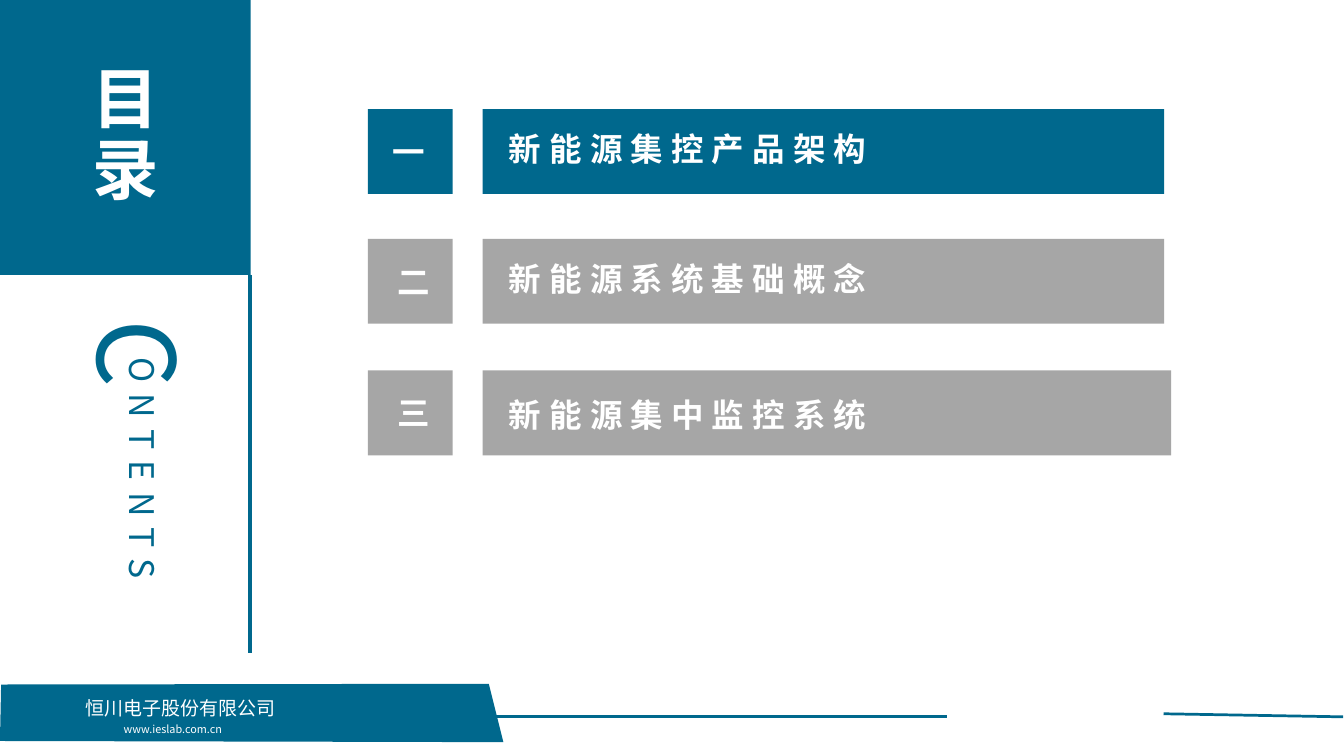
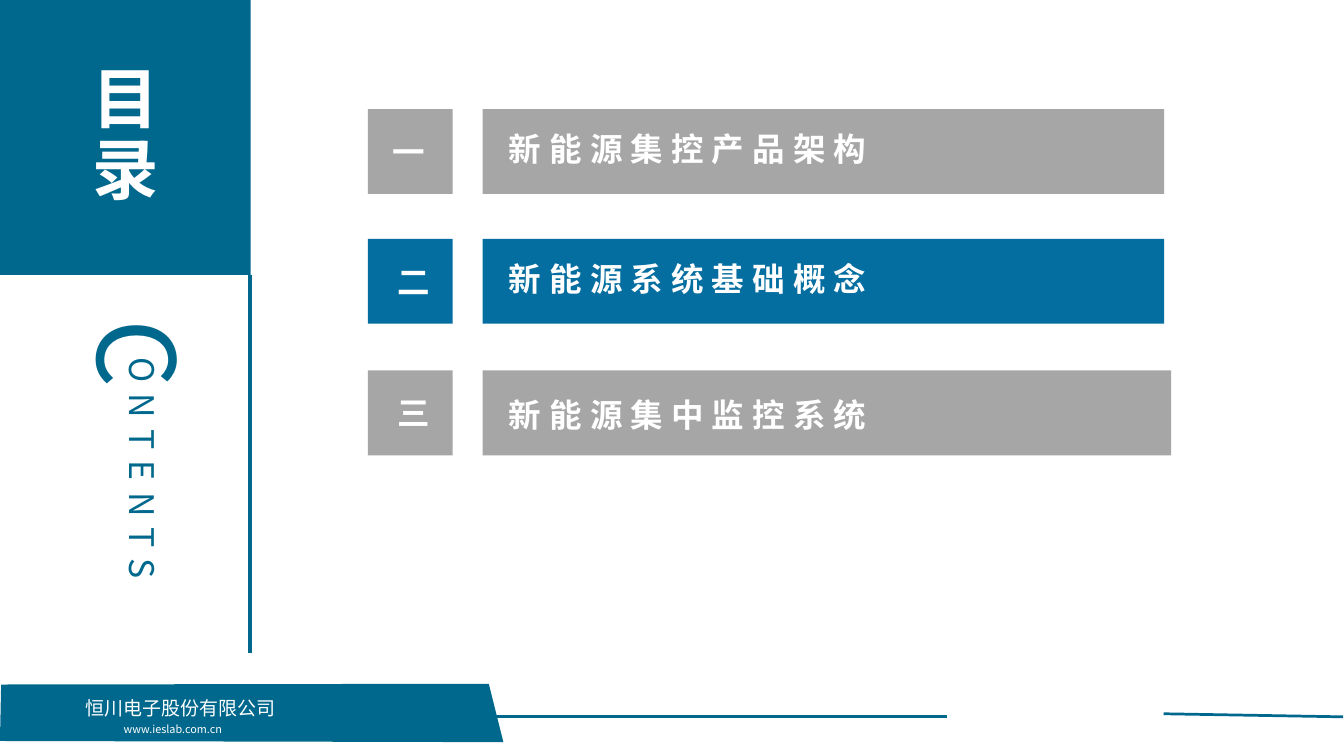
from pptx import Presentation
from pptx import util as u
from pptx.dml.color import RGBColor
from pptx.enum import shapes, text
from pptx.oxml.ns import qn
from lxml import etree

TEAL = RGBColor(0x00, 0x68, 0x8D)
BLUE = RGBColor(0x05, 0x6E, 0xA0)
GREY = RGBColor(0xA6, 0xA6, 0xA6)
WHITE = RGBColor(0xFF, 0xFF, 0xFF)
FONT = "Noto Sans CJK SC"
TOP, MIDDLE = text.MSO_ANCHOR.TOP, text.MSO_ANCHOR.MIDDLE
LEFT, CENTER = text.PP_ALIGN.LEFT, text.PP_ALIGN.CENTER
NARROW = (0.25, 0.13, 0.25, 0.13)
WIDE = (0.3, 0.15, 0.3, 0.15)

BADGE_X, BAR_X, LABEL_X = 9.58, 12.57, 12.95
ROW_H = 2.21
ROWS = [
    ("一", "新能源集控产品架构", 2.84, 17.75, 0.38, (0.18, 0.13, 0.25, 0.13)),
    ("二", "新能源系统基础概念", 6.22, 17.75, 0.38, (0.48, 0.15, 0.3, 0.15)),
    ("三", "新能源集中监控系统", 9.65, 17.93, 0.48, (0.48, 0.15, 0.3, 0.15)),
]


class Deck:
    def __init__(self):
        self.prs = Presentation()
        self.prs.slide_width, self.prs.slide_height = u.Cm(35), u.Cm(19.69)
        self.s = None

    def new_slide(self):
        self.s = self.prs.slides.add_slide(self.prs.slide_layouts[6])

    def fill(self, sp, color):
        sp.shadow.inherit = False
        sp.fill.solid()
        sp.fill.fore_color.rgb = color
        sp.line.fill.background()

    def rect(self, x, y, w, h, color):
        sp = self.s.shapes.add_shape(
            shapes.MSO_SHAPE.RECTANGLE, u.Cm(x), u.Cm(y), u.Cm(w), u.Cm(h))
        self.fill(sp, color)
        return sp

    def outline(self, points, color):
        points = [(u.Cm(x), u.Cm(y)) for x, y in points]
        fb = self.s.shapes.build_freeform(*points[0])
        fb.add_line_segments(points[1:])
        self.fill(fb.convert_to_shape(), color)

    def line(self, x1, y1, x2, y2, width):
        c = self.s.shapes.add_connector(
            shapes.MSO_CONNECTOR.STRAIGHT, u.Cm(x1), u.Cm(y1), u.Cm(x2), u.Cm(y2))
        c.line.color.rgb = TEAL
        c.line.width = u.Pt(width)
        etree.SubElement(c.element.spPr, qn("a:effectLst"))

    def set_text(self, sp, lines, size, color=WHITE, bold=False, align=LEFT,
                 anchor=TOP, insets=NARROW, spacing=0, line_spacing=None, vertical=False):
        tf = sp.text_frame
        tf.word_wrap = True
        tf.vertical_anchor = anchor
        tf.margin_left, tf.margin_top, tf.margin_right, tf.margin_bottom = map(u.Cm, insets)
        if vertical:
            sp.element.txBody.find(qn("a:bodyPr")).set("vert", "eaVert")
        p = tf.paragraphs[0]
        p.alignment = align
        if line_spacing:
            p.line_spacing = line_spacing
        for i, line in enumerate(lines):
            if i:
                p.add_line_break()
            r = p.add_run()
            r.text = line
            r.font.name = FONT
            r.font.size = u.Pt(size)
            r.font.bold = bold
            r.font.color.rgb = color
            rPr = r._r.get_or_add_rPr()
            etree.SubElement(rPr, qn("a:ea"), typeface=FONT)
            if spacing:
                rPr.set("spc", str(round(spacing * 100)))

    def textbox(self, x, y, w, h, line, size, **style):
        sp = self.s.shapes.add_textbox(u.Cm(x), u.Cm(y), u.Cm(w), u.Cm(h))
        self.set_text(sp, [line], size, **style)

    def footer(self):
        self.line(12.22, 18.67, 24.66, 18.67, 2)
        self.line(30.3, 18.59, 34.98, 18.67, 2)
        self.outline([(0, 19.3), (0.03, 17.83), (12.73, 17.81), (13.11, 19.33)], TEAL)
        self.textbox(2.97, 18.69, 8.64, 0.58, "www.ieslab.com.cn", 8)
        self.textbox(1.98, 18.01, 8.79, 0.86, "恒川电子股份有限公司", 14)

    def sidebar(self):
        sp = self.rect(0, 0, 6.53, 7.16, TEAL)
        self.set_text(sp, ["目", "录"], 49, bold=True, align=CENTER, anchor=MIDDLE,
                      insets=WIDE, line_spacing=0.9)
        self.textbox(2.54, 8.18, 2.24, 2.84, "C", 79, color=TEAL,
                     anchor=MIDDLE, vertical=True)
        self.textbox(3.18, 9.17, 1.32, 6.3, "ONTENTS", 25, color=TEAL,
                     spacing=8.4, insets=(0.25, 0.13, 0.25, 0), vertical=True)
        self.line(6.5, 7.16, 6.5, 17.02, 3)

    def row(self, number, title, y, width, label_dy, insets, color):
        self.rect(BAR_X, y, width, ROW_H, color)
        self.textbox(LABEL_X, y + label_dy, 16.74, 1.32, title, 24, bold=True,
                     spacing=6, insets=WIDE)
        badge = self.rect(BADGE_X, y, ROW_H, ROW_H, color)
        self.set_text(badge, [number], 24, bold=True, align=CENTER, anchor=MIDDLE,
                      insets=insets)

    def contents(self, active, accent):
        self.new_slide()
        self.footer()
        self.sidebar()
        for i, row in enumerate(ROWS):
            self.row(*row, accent if i == active else GREY)


def main():
    deck = Deck()
    deck.contents(0, TEAL)
    deck.contents(1, BLUE)
    deck.prs.save("out.pptx")


if __name__ == "__main__":
    main()
